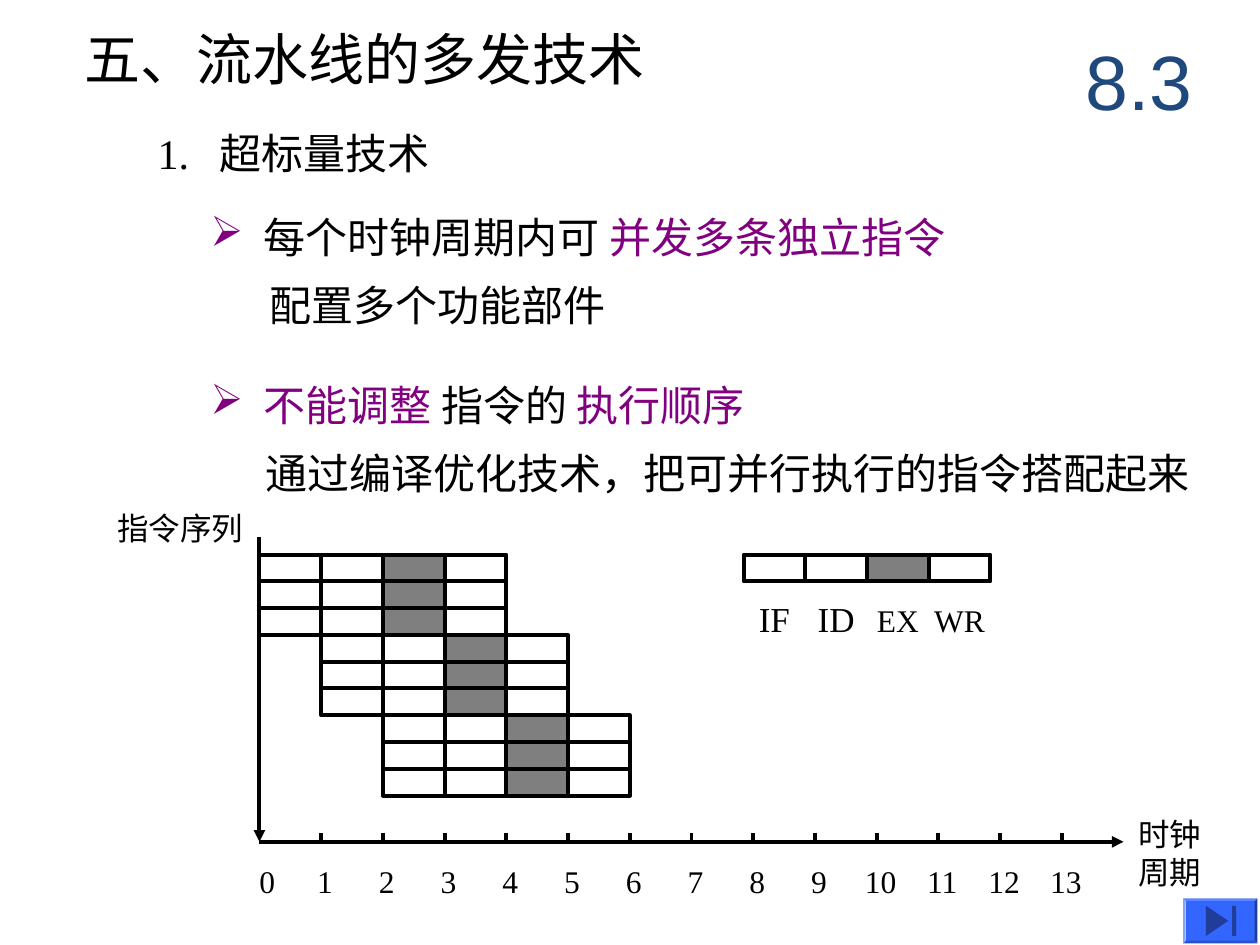
from lxml.etree import SubElement
from pptx import Presentation
from pptx.dml.color import RGBColor
from pptx.enum.shapes import MSO_CONNECTOR, MSO_SHAPE
from pptx.enum.text import MSO_ANCHOR, MSO_AUTO_SIZE, PP_ALIGN
from pptx.oxml.ns import qn
from pptx.util import Cm, Pt

COLORS = {"ink": "000000", "accent": "800080", "section": "1F497D",
          "button": "3366FF", "icon": "1F3D99"}
STAGES = ["IF", "ID", "EX", "WR"]
EXECUTE = STAGES.index("EX")
CYCLES = 14
ISSUE_WIDTH = 3
GROUPS = 3
CELL_W = 17.42 / CYCLES
CELL_H = 0.54
LINE_WIDTH = Pt(2.25)


def rgb(name):
    return RGBColor.from_string(COLORS[name])


def write(slide, text, box, size=24, color="ink", font="Times New Roman",
          align=PP_ALIGN.LEFT, anchor=MSO_ANCHOR.TOP, inset=0.25,
          bullet=None, hanging=1.08, tabs=(), tab_align="ctr", holder=None):
    """Write text, or a list of (text, format) runs; a newline starts a paragraph."""
    left, top, width, height = (Cm(length) for length in box)
    if holder is None:
        holder = slide.shapes.add_textbox(left, top, width, height)
    else:
        holder.left, holder.top, holder.width, holder.height = left, top, width, height
    frame = holder.text_frame
    frame.word_wrap = True
    frame.auto_size = MSO_AUTO_SIZE.NONE
    frame.vertical_anchor = anchor
    frame.margin_left = frame.margin_right = Cm(inset)
    frame.margin_top = frame.margin_bottom = Cm(0.13)
    paragraphs = ([[(line, {})] for line in text.split("\n")]
                  if isinstance(text, str) else [text])
    for index, runs in enumerate(paragraphs):
        paragraph = frame.add_paragraph() if index else frame.paragraphs[0]
        paragraph.alignment = align
        properties = paragraph._p.get_or_add_pPr()
        if bullet:
            properties.set("marL", str(Cm(hanging)))
            properties.set("indent", str(-Cm(hanging)))
            bullet_color = SubElement(properties, qn("a:buClr"))
            SubElement(bullet_color, qn("a:srgbClr"), val=COLORS["accent"])
            SubElement(properties, qn("a:buChar"), char=bullet)
        if tabs:
            stops = SubElement(properties, qn("a:tabLst"))
            for stop in tabs:
                SubElement(stops, qn("a:tab"), pos=str(Cm(stop)), algn=tab_align)
        for words, style in runs:
            run = paragraph.add_run()
            run.text = words
            run.font.name = font
            run.font.size = Pt(style.get("size", size))
            run.font.color.rgb = rgb(style.get("color", color))


def draw_line(slide, start, end, arrow=False):
    line = slide.shapes.add_connector(
        MSO_CONNECTOR.STRAIGHT, *(Cm(length) for length in start + end))
    line.line.color.rgb = rgb("ink")
    line.line.width = LINE_WIDTH
    if arrow:
        SubElement(line.line._get_or_add_ln(), qn("a:tailEnd"), type="triangle")
    SubElement(line._element.spPr, qn("a:effectLst"))


def draw_instruction(slide, left, top):
    """One row of four stages, with the execute stage shaded."""
    for stage in range(len(STAGES)):
        cell = slide.shapes.add_shape(
            MSO_SHAPE.RECTANGLE, Cm(left + stage * CELL_W), Cm(top),
            Cm(CELL_W), Cm(CELL_H))
        cell.shadow.inherit = False
        cell.line.color.rgb = rgb("ink")
        cell.line.width = LINE_WIDTH
        if stage == EXECUTE:
            cell.fill.solid()
            cell.fill.fore_color.rgb = rgb("ink")
            shade = cell._element.spPr.find(qn("a:solidFill"))[0]
            SubElement(shade, qn("a:alpha"), val="50000")
        else:
            cell.fill.background()


def add_heading(slide, box):
    left, top, width, height = box
    write(slide, "五、流水线的多发技术", (left, top, 15, height), size=32, inset=0,
          anchor=MSO_ANCHOR.MIDDLE, holder=slide.shapes.title)
    write(slide, "8.3", (left + width - 3.18, top, 3.18, 2.34), size=44,
          color="section", font="Arial", align=PP_ALIGN.CENTER,
          anchor=MSO_ANCHOR.MIDDLE)


def add_points(slide, box):
    left, top, width, height = box
    accent = {"color": "accent"}
    write(slide, "1.\t超标量技术", (left, top, 8, height), inset=0,
          anchor=MSO_ANCHOR.MIDDLE, tabs=[1.24], tab_align="l")
    points = [
        ([("每个时钟周期内可 ", {}), ("并发多条独立指令", accent)],
         "配置多个功能部件", 2.01),
        ([("不能调整 ", accent), ("指令的 ", {}), ("执行顺序", accent)],
         "通过编译优化技术，把可并行执行的指令搭配起来", 1.93),
    ]
    for index, (point, detail, indent) in enumerate(points):
        point_top = top + 1.69 + index * 3.39
        write(slide, point, (left + 1.06, point_top, 17, height), inset=0,
              anchor=MSO_ANCHOR.MIDDLE, bullet="➢")
        write(slide, detail, (left + indent, point_top + 1.48, width - indent, 1.27))


def add_pipeline(slide, box):
    """Time-space diagram: each group of instructions starts a cycle later."""
    left, top, width, height = box
    bottom = top + height
    for row in range(GROUPS * ISSUE_WIDTH):
        draw_instruction(slide, left + row // ISSUE_WIDTH * CELL_W,
                         top + 0.36 + row * CELL_H)

    # Axes with one tick for each cycle
    draw_line(slide, (left, top), (left, bottom), arrow=True)
    draw_line(slide, (left, bottom), (left + width, bottom), arrow=True)
    for cycle in range(1, CYCLES):
        tick = left + cycle * CELL_W
        draw_line(slide, (tick, bottom - 0.18), (tick, bottom))

    # Axis labels
    write(slide, "\t".join(str(cycle) for cycle in range(CYCLES)),
          (left, bottom + 0.28, width + 1, 1.02), size=18, inset=0,
          tabs=[cycle * CELL_W + 0.08 for cycle in range(1, CYCLES)])
    write(slide, "时钟\n周期", (left + width + 0.05, bottom - 0.66, 2.6, 1.78), size=18)
    write(slide, "指令序列", (left - 3.12, top - 0.69, 3.4, 1.02), size=18)


def add_legend(slide, box):
    left, top, width, height = box
    draw_instruction(slide, left, top)
    write(slide, [("\t" + stage, {"size": 20 if stage in ("IF", "ID") else 18})
                  for stage in STAGES],
          (left, top + 0.74, width, height - 0.74), inset=0,
          tabs=[(stage + 0.5) * CELL_W for stage in range(len(STAGES))])


def add_next_button(slide, box):
    left, top, width, height = box
    button = slide.shapes.add_shape(
        MSO_SHAPE.BEVEL, *(Cm(length) for length in box))
    button.adjustments[0] = 0.06
    outline = slide.shapes.build_freeform(Cm(left + 0.46), Cm(top + 0.15))
    outline.add_line_segments([(Cm(left + 0.91), Cm(top + height / 2)),
                               (Cm(left + 0.46), Cm(top + height - 0.15))])
    triangle = outline.convert_to_shape()
    bar = slide.shapes.add_shape(
        MSO_SHAPE.RECTANGLE, Cm(left + 0.99), Cm(top + 0.15),
        Cm(0.08), Cm(height - 0.3))
    for part, color in ((button, "button"), (triangle, "icon"), (bar, "icon")):
        part.shadow.inherit = False
        part.fill.solid()
        part.fill.fore_color.rgb = rgb(color)
        part.line.fill.background()


def main():
    deck = Presentation()
    deck.slide_width, deck.slide_height = Cm(25.4), Cm(19.05)
    slide = deck.slides.add_slide(deck.slide_layouts[5])
    add_heading(slide, (1.7, 0.43, 22.86, 1.47))
    add_points(slide, (3.18, 2.34, 22, 1.47))
    add_pipeline(slide, (5.23, 10.82, CYCLES * CELL_W, 6.15))
    add_legend(slide, (14.99, 11.18, 5.2, 1.86))
    add_next_button(slide, (23.85, 18.11, 1.5, 0.91))
    deck.save("out.pptx")


if __name__ == "__main__":
    main()
